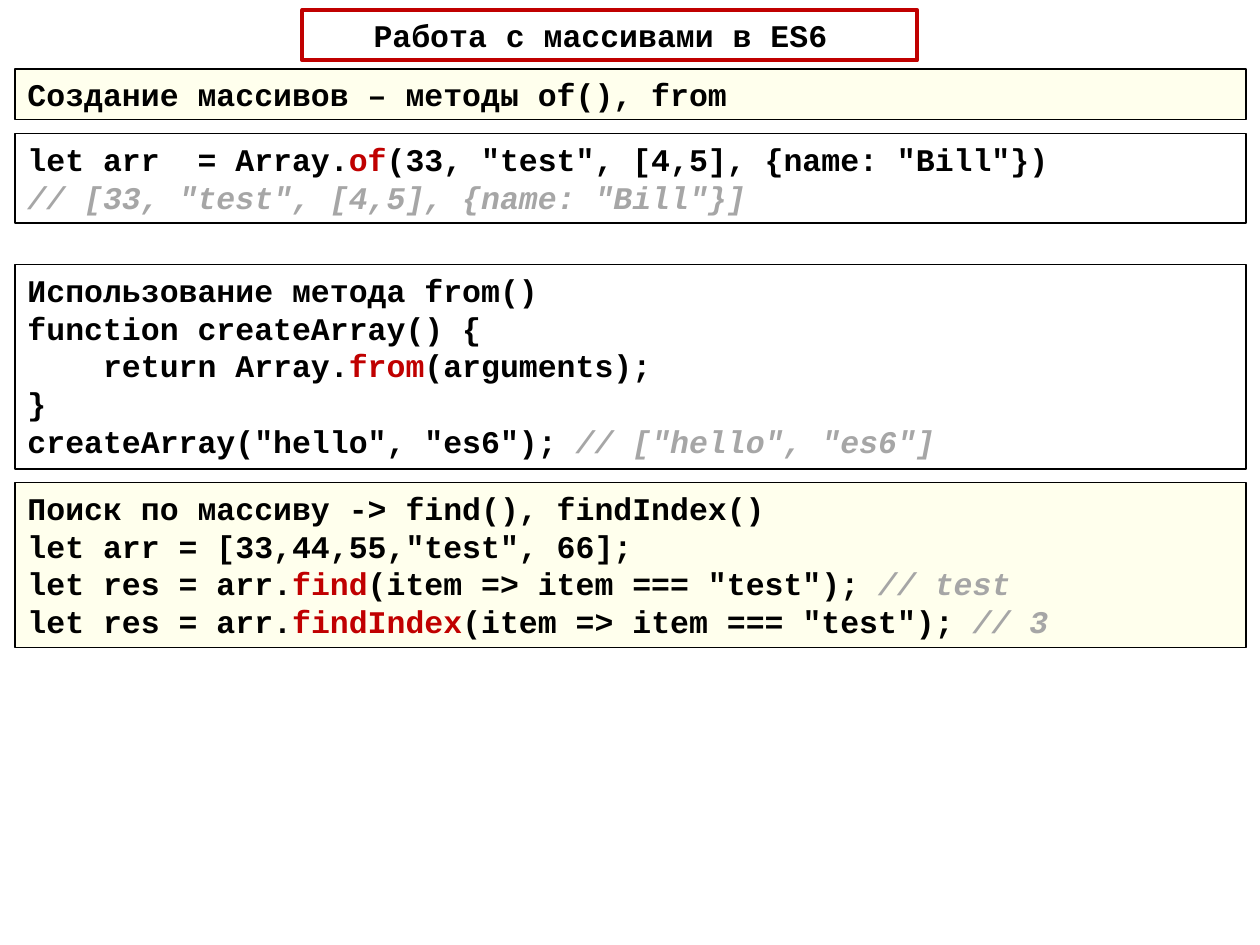
from lxml.etree import SubElement
from pptx import Presentation
from pptx.dml.color import RGBColor
from pptx.enum.shapes import MSO_SHAPE
from pptx.enum.text import MSO_ANCHOR, MSO_AUTO_SIZE, PP_ALIGN
from pptx.oxml.ns import qn
from pptx.util import Inches, Pt

BLACK = RGBColor(0x00, 0x00, 0x00)
WHITE = RGBColor(0xFF, 0xFF, 0xFF)
YELLOW = RGBColor(0xFF, 0xFF, 0x00)
RED = RGBColor(0xC0, 0x00, 0x00)
GRAY = RGBColor(0xA6, 0xA6, 0xA6)

FONT, SIZE = "Courier New", Pt(18)
LEFT, WIDTH = 0.12, 9.77
TAB = Inches(0.6)  # four characters of code

# A line is a list of (text, color) runs; gray runs are code comments.
TITLE = [[("Работа с массивами в ES6 ", BLACK)]]

# top, height, tint, lines, indented line numbers
PANELS = [
    (0.55, 0.4, YELLOW, [
        [("Создание массивов – методы of(), from", BLACK)],
    ], ()),
    (1.06, 0.71, WHITE, [
        [("let arr  = Array.", BLACK), ("of", RED),
         ('(33, "test", [4,5], {name: "Bill"})', BLACK)],
        [('// [33, "test", [4,5], {name: "Bill"}]', GRAY)],
    ], ()),
    (2.1, 1.62, WHITE, [
        [("Использование метода from()", BLACK)],
        [("function createArray() {", BLACK)],
        [("return Array.", BLACK), ("from", RED), ("(arguments);", BLACK)],
        [("}", BLACK)],
        [('createArray("hello", "es6"); ', BLACK),
         ('// ["hello", "es6"]', GRAY)],
    ], (2,)),
    (3.83, 1.31, YELLOW, [
        [("Поиск по массиву -> find(), findIndex()", BLACK)],
        [('let arr = [33,44,55,"test", 66];', BLACK)],
        [("let res = arr.", BLACK), ("find", RED),
         ('(item => item === "test"); ', BLACK), ("// test", GRAY)],
        [("let res = arr.", BLACK), ("findIndex", RED),
         ('(item => item === "test"); ', BLACK), ("// 3", GRAY)],
    ], ()),
]


def add_box(slide, area, fill, edge, weight):
    """Add a filled, outlined rectangle and return it."""
    box = slide.shapes.add_shape(MSO_SHAPE.RECTANGLE, *map(Inches, area))
    box.shadow.inherit = False
    box.fill.solid()
    box.fill.fore_color.rgb = fill
    box.line.color.rgb = edge
    box.line.width = Pt(weight)
    box.text_frame.word_wrap = True
    return box


def set_alpha(box, percent):
    """Make the solid fill of a box partly transparent."""
    color = box.fill._xPr.find(qn("a:solidFill"))[0]
    SubElement(color, qn("a:alpha")).set("val", str(percent * 1000))


def write(frame, lines, align, tabs=()):
    """Write lines of colored runs, indenting the numbered ones."""
    for num, line in enumerate(lines):
        para = frame.add_paragraph() if num else frame.paragraphs[0]
        para.alignment = align
        para.font.name, para.font.size, para.font.bold = FONT, SIZE, True
        if num in tabs:
            para._p.get_or_add_pPr().set("marL", str(TAB))
        for text, color in line:
            run = para.add_run()
            run.text = text
            run.font.color.rgb = color
            if color == GRAY:
                run.font.italic = True


deck = Presentation()
deck.slide_width, deck.slide_height = Inches(10), Inches(7.5)
slide = deck.slides.add_slide(deck.slide_layouts[6])

head = add_box(slide, (2.4, 0.08, 4.88, 0.4), WHITE, RED, 2.25)
head.text_frame.vertical_anchor = MSO_ANCHOR.MIDDLE
write(head.text_frame, TITLE, PP_ALIGN.CENTER)

for top, height, tint, lines, tabs in PANELS:
    panel = add_box(slide, (LEFT, top, WIDTH, height), tint, BLACK, 1)
    set_alpha(panel, 7)
    panel.text_frame.vertical_anchor = MSO_ANCHOR.TOP
    panel.text_frame.auto_size = MSO_AUTO_SIZE.SHAPE_TO_FIT_TEXT
    write(panel.text_frame, lines, PP_ALIGN.LEFT, tabs)

deck.save("out.pptx")
